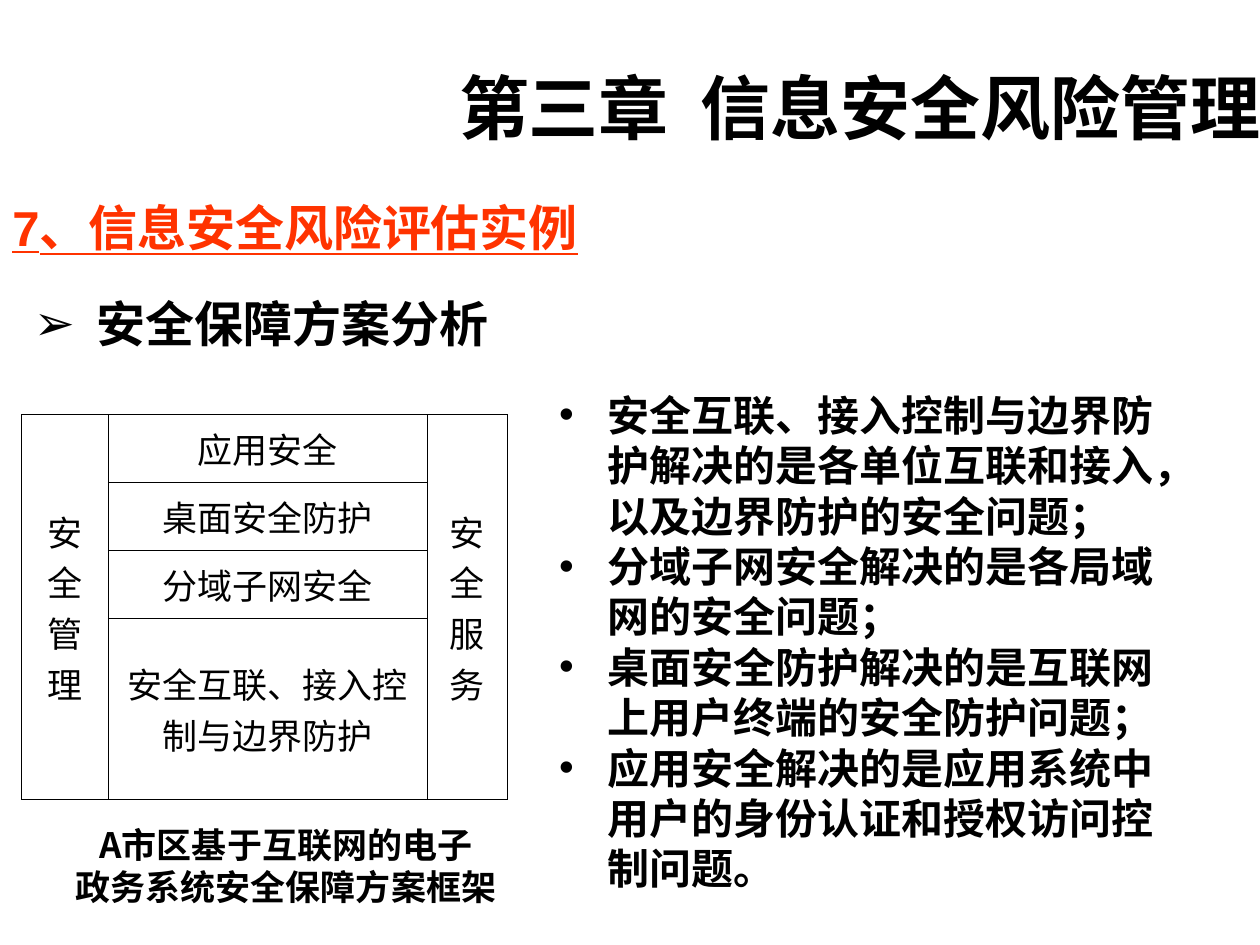
import pptx
import pptx.util
import pptx.dml.color
import pptx.enum.text
import pptx.oxml.ns
import lxml.etree

Inches = pptx.util.Inches
Pt = pptx.util.Pt
Align = pptx.enum.text.PP_ALIGN
Anchor = pptx.enum.text.MSO_ANCHOR


def paint(code):
    return pptx.dml.color.RGBColor.from_string(code)


def node(parent, tag, **attrs):
    return lxml.etree.SubElement(parent, pptx.oxml.ns.qn(tag), **attrs)


class Deck:
    ink = "000000"
    red = "FF3300"
    sans = "Noto Sans CJK JP"
    title = "Noto Sans CJK SC"
    latin = "Arial"
    rule = Pt(0.45)

    def __init__(self):
        self.show = pptx.Presentation()
        self.show.slide_width = Inches(10)
        self.show.slide_height = Inches(7.5)
        self.slide = self.show.slides.add_slide(self.show.slide_layouts[6])

    def fill(self, frame, lines, size, face, color=ink, bold=True,
             under=None, align=Align.LEFT, mark=None, indent=0, tight=True):
        for count, line in enumerate(lines):
            para = frame.add_paragraph() if count else frame.paragraphs[0]
            para.text = line
            para.alignment = align
            if tight:
                para.line_spacing = Pt(size * 1.2)
            if mark:
                props = para._p.get_or_add_pPr()
                props.set("marL", str(Inches(indent)))
                props.set("indent", str(-Inches(indent)))
                node(node(props, "a:buClr"), "a:srgbClr", val=self.ink)
                node(props, "a:buFont", typeface=self.latin)
                node(props, "a:buChar", char=mark)
            font = para.font
            font.size = Pt(size)
            font.bold = bold
            font.underline = under
            font.color.rgb = paint(color)
            font.name = face
            east = self.title if face == self.latin else face
            node(font._rPr, "a:ea", typeface=east)

    def text(self, box, lines, size, face, anchor=Anchor.TOP,
             wrap=True, inset=(0.1, 0.05), **style):
        frame = self.slide.shapes.add_textbox(*map(Inches, box)).text_frame
        frame.word_wrap = wrap
        frame.vertical_anchor = anchor
        frame.margin_left = frame.margin_right = Inches(inset[0])
        frame.margin_top = frame.margin_bottom = Inches(inset[1])
        self.fill(frame, lines, size, face, **style)

    def edge(self, cell):
        props = cell._tc.get_or_add_tcPr()
        for side in ("a:lnL", "a:lnR", "a:lnT", "a:lnB"):
            line = node(props, side, w=str(self.rule))
            node(node(line, "a:solidFill"), "a:srgbClr", val=self.ink)

    def table(self, box, cols, rows, left, mid, right):
        shape = self.slide.shapes.add_table(
            len(rows), len(cols), *map(Inches, box))
        grid = shape.table
        grid.first_row = grid.horz_banding = False
        for col, width in zip(grid.columns, cols):
            col.width = Inches(width)
        for row, height in zip(grid.rows, rows):
            row.height = Inches(height)
        for cell in grid.iter_cells():
            self.edge(cell)
            cell.fill.background()
        last = len(rows) - 1
        for col in (0, 2):
            grid.cell(0, col).merge(grid.cell(last, col))
        parts = [(0, 0, left), (0, 2, right)]
        parts += [(row, 1, [label]) for row, label in enumerate(mid)]
        for row, col, lines in parts:
            cell = grid.cell(row, col)
            cell.vertical_anchor = Anchor.MIDDLE
            self.fill(cell.text_frame, lines, 20, self.latin, bold=False,
                      align=Align.CENTER, tight=False)


def main():
    deck = Deck()
    deck.text((1.58, 0.58, 8.42, 0.53), ["第三章  信息安全风险管理"], 40,
              deck.title, anchor=Anchor.MIDDLE, inset=(0, 0),
              align=Align.RIGHT)
    deck.text((0, 1.52, 10, 0.57), ["7、信息安全风险评估实例"], 28,
              deck.latin, color=deck.red, under=True)
    deck.text((0.17, 2.28, 9.93, 0.57), ["安全保障方案分析"], 28,
              deck.sans, anchor=Anchor.MIDDLE, mark="➢", indent=0.5)
    deck.table((0.17, 3.29, 3.86, 3.05), (0.69, 2.53, 0.64),
               (0.54, 0.54, 0.54, 1.43), "安全管理",
               ["应用安全", "桌面安全防护", "分域子网安全",
                "安全互联、接入控制与边界防护"], "安全服务")
    points = [
        "安全互联、接入控制与边界防护解决的是各单位互联和接入，以及边界防护的安全问题；",
        "分域子网安全解决的是各局域网的安全问题；",
        "桌面安全防护解决的是互联网上用户终端的安全防护问题；",
        "应用安全解决的是应用系统中用户的身份认证和授权访问控制问题。",
    ]
    deck.text((4.34, 3.04, 5.24, 4.1), points, 24, deck.sans,
              anchor=Anchor.MIDDLE, mark="•", indent=0.38)
    deck.text((0.5, 6.49, 3.54, 0.77),
              ["A市区基于互联网的电子", "政务系统安全保障方案框架"], 20,
              deck.sans, wrap=False, align=Align.CENTER)
    deck.show.save("out.pptx")


if __name__ == "__main__":
    main()
